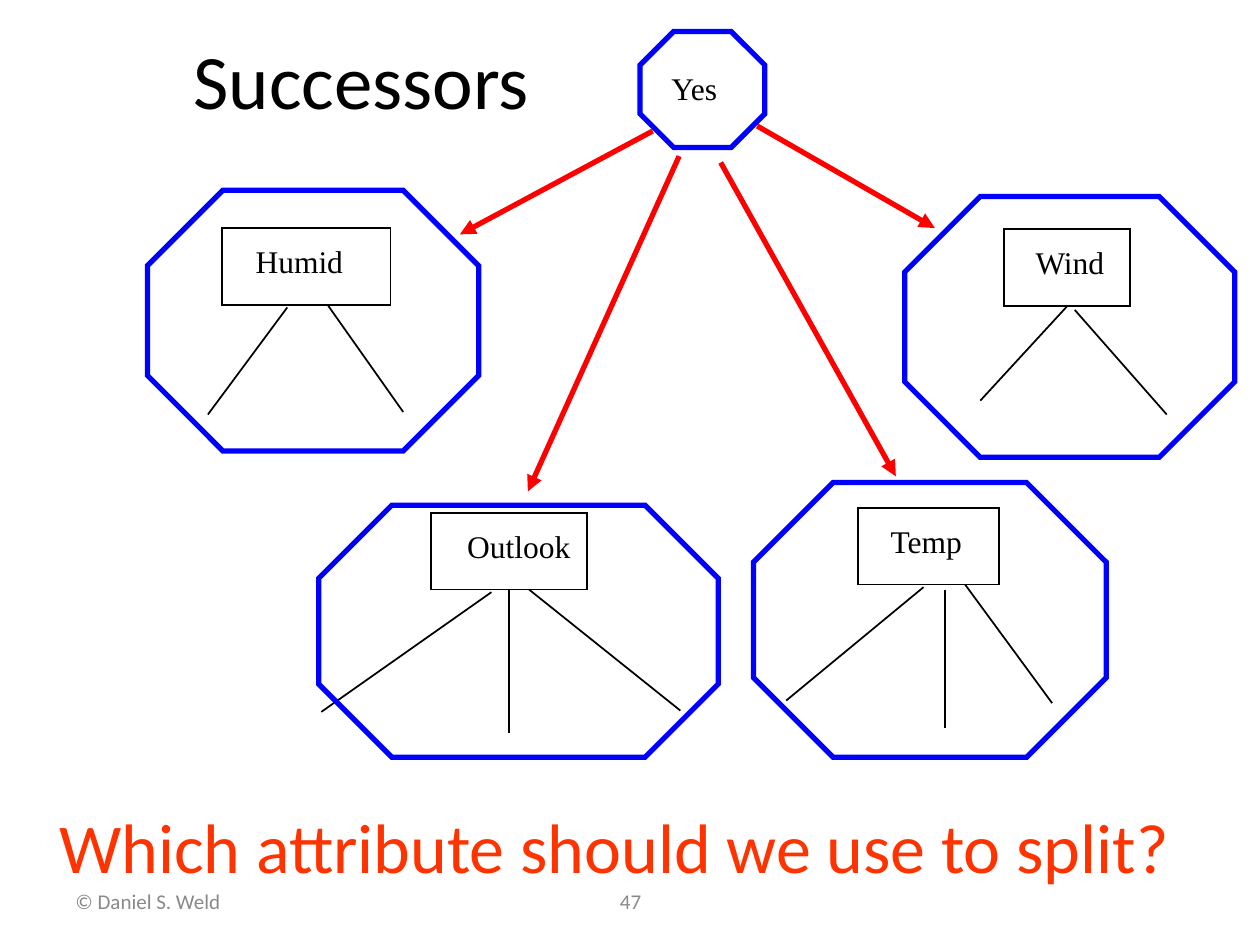
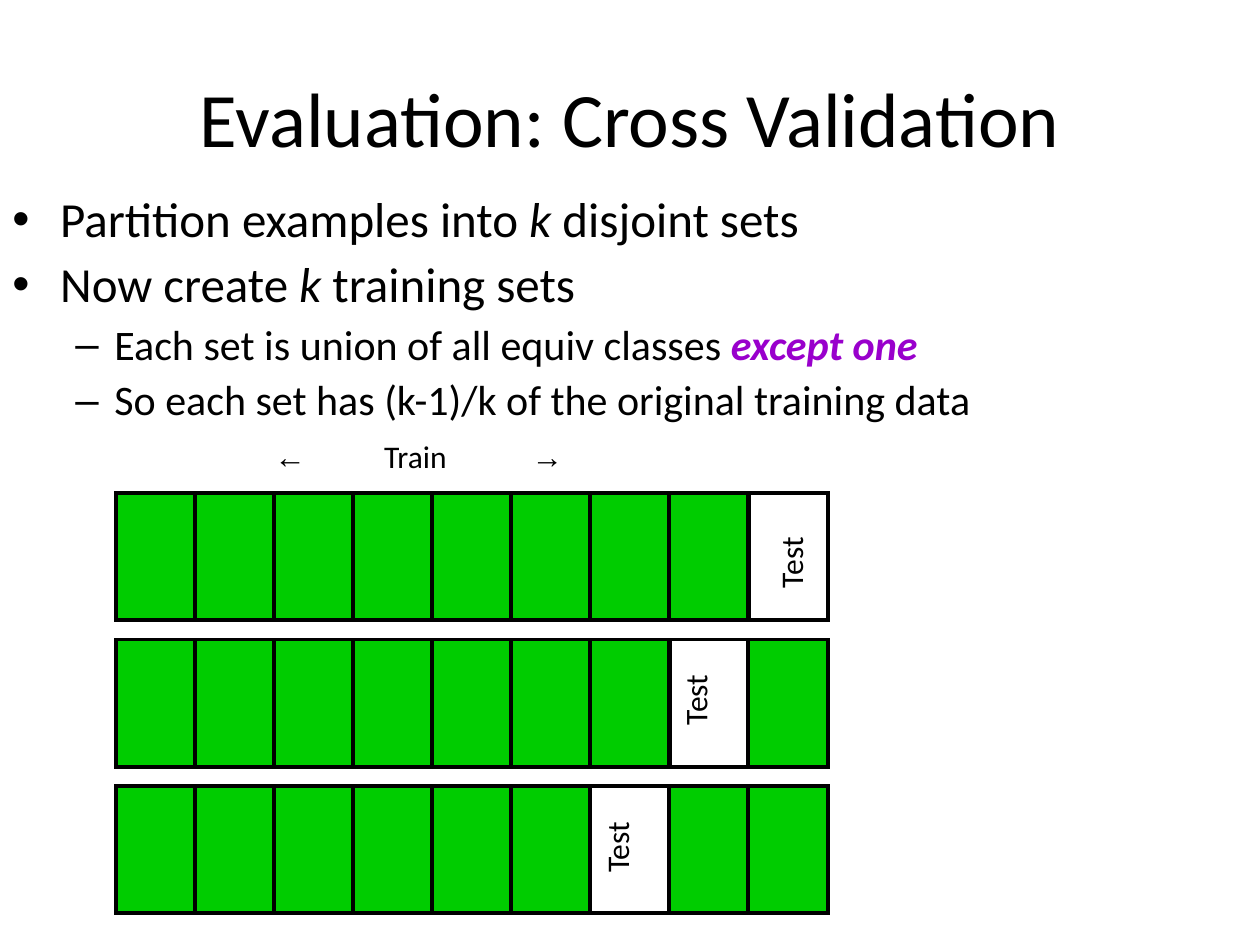
import pptx
import pptx.util
import pptx.dml.color
import pptx.enum.shapes
import pptx.enum.text
import pptx.oxml.ns
import lxml.etree

Inches = pptx.util.Inches
Pt = pptx.util.Pt
RGBColor = pptx.dml.color.RGBColor
KIND = pptx.enum.shapes.MSO_SHAPE
ALIGN = pptx.enum.text.PP_ALIGN
ANCHOR = pptx.enum.text.MSO_ANCHOR
FIT = pptx.enum.text.MSO_AUTO_SIZE
qn = pptx.oxml.ns.qn

BLACK = RGBColor(0, 0, 0)
BLUE = RGBColor(0, 0, 255)
RED = RGBColor(255, 0, 0)
ORANGE = RGBColor(255, 51, 0)
GREEN = RGBColor(0, 204, 0)
PURPLE = RGBColor(153, 0, 204)
GREY = RGBColor(137, 137, 137)
SANS, SERIF, SIGN = "Calibri", "Times New Roman", "Arial"

FOOTERS = [
    ("© Daniel S. Weld", (0.5, 6.95, 2.33, 0.4), ALIGN.LEFT),
    ("47", (3.42, 6.95, 3.17, 0.4), ALIGN.CENTER),
]

ROOT = {"name": "Yes", "ring": (5.08, 0.25, 0.99, 0.92), "label": (5.23, 0.5, 0.59)}
ARROWS = [
    (5.18, 1.04, 3.65, 1.86),
    (6.01, 1, 7.42, 1.81),
    (5.72, 1.29, 7.11, 3.78),
    (5.39, 1.24, 4.19, 3.9),
]
NODES = [
    {"name": "Outlook", "ring": (2.53, 4.01, 3.17, 2), "box": (3.42, 4.07, 1.24),
     "label": (3.61, 4.13, 1.02),
     "twigs": [(3.9, 4.7, 2.55, 5.65), (4.2, 4.68, 5.4, 5.64), (4.04, 4.68, 4.04, 5.82)]},
    {"name": "Temp", "ring": (5.98, 3.83, 2.8, 2.18), "box": (6.81, 4.03, 1.12),
     "label": (6.97, 4.09, 0.78),
     "twigs": [(7.33, 4.66, 6.24, 5.56), (7.66, 4.64, 8.35, 5.58), (7.5, 4.68, 7.5, 5.78)]},
    {"name": "Humid", "ring": (1.17, 1.51, 2.63, 2.07), "box": (1.76, 1.81, 1.34),
     "label": (1.93, 1.87, 0.92),
     "twigs": [(2.28, 2.44, 1.65, 3.29), (2.6, 2.42, 3.2, 3.27)]},
    {"name": "Wind", "ring": (7.18, 1.56, 2.62, 2.07), "box": (7.97, 1.82, 1),
     "label": (8.12, 1.88, 0.75),
     "twigs": [(8.49, 2.45, 7.78, 3.18), (8.53, 2.46, 9.26, 3.29)]},
]

LEVELS = [
    {"mark": "•", "size": 28, "left": 0.38, "hang": 0.38, "gap": 7},
    {"mark": "–", "size": 24, "left": 0.81, "hang": 0.31, "gap": 6},
]
POINTS = [
    (0, [("Partition examples into ", ""), ("k", "i"), (" disjoint sets", "")]),
    (0, [("Now create ", ""), ("k ", "i"), ("training sets", "")]),
    (1, [("Each set is union of all equiv classes ", ""), ("except one", "key")]),
    (1, [("So each set has (k-1)/k of the original training data", "")]),
]

TRAIN = [("←", SIGN), ("\tTrain", SANS), ("\t→", SIGN)]
TRAIN_TABS = (0.87, 2.04)
FOLDS = 9
CELL_W, CELL_H = 0.63, 1.01
LEFT, TOP = 0.92, 3.91
TESTS = [(8, 5.96, 4.25), (7, 5.2, 5.34), (6, 4.58, 6.51)]
STEP_X = (5.94 - LEFT) / (FOLDS - 1)
STEP_Y = (6.24 - TOP) / (len(TESTS) - 1)


def style(run, font, size, color=BLACK):
    run.font.name = font
    run.font.size = Pt(size)
    run.font.color.rgb = color


def text(slide, words, at, font, size, color=BLACK, align=ALIGN.LEFT, wrap=True):
    box = slide.shapes.add_textbox(*map(Inches, at))
    frame = box.text_frame
    frame.text = words
    frame.word_wrap = wrap
    frame.vertical_anchor = ANCHOR.MIDDLE if wrap else ANCHOR.TOP
    if not wrap:
        frame.auto_size = FIT.SHAPE_TO_FIT_TEXT
    para = frame.paragraphs[0]
    para.alignment = align
    for run in para.runs:
        style(run, font, size, color)
    return box


def title(slide, words, at):
    text(slide, words, at, SANS, 44, align=ALIGN.CENTER)


def shape(slide, kind, at, color, width, fill=None):
    item = slide.shapes.add_shape(kind, *map(Inches, at))
    item.shadow.inherit = False
    if fill is None:
        item.fill.background()
    else:
        item.fill.solid()
        item.fill.fore_color.rgb = fill
    item.line.color.rgb = color
    item.line.width = Pt(width)
    lxml.etree.SubElement(item.line._get_or_add_ln(), qn("a:miter"), lim="800000")
    return item


def line(slide, ends, color, width, arrow=False):
    link = slide.shapes.add_connector(
        pptx.enum.shapes.MSO_CONNECTOR.STRAIGHT, *map(Inches, ends))
    link.line.color.rgb = color
    link.line.width = Pt(width)
    if arrow:
        lxml.etree.SubElement(link.line._get_or_add_ln(), qn("a:tailEnd"), type="triangle")
    lxml.etree.SubElement(link._element.spPr, qn("a:effectLst"))
    return link


def ring(slide, node):
    item = shape(slide, KIND.OCTAGON, node["ring"], BLUE, 3)
    item.adjustments[0] = 0.29


def label(slide, node):
    text(slide, node["name"], (*node["label"], 0.4), SERIF, 18, wrap=False)


def branch(slide, node):
    left, top, width = node["box"]
    box = shape(slide, KIND.RECTANGLE, (left, top, width, 0.61), BLACK, 1)
    label(slide, node)
    for ends in node["twigs"]:
        twig = line(slide, ends, BLACK, 1)
        if abs(ends[0] - left - width / 2) < 0.03:
            twig.begin_connect(box, 2)
    ring(slide, node)


def split(slide):
    for words, at, align in FOOTERS:
        text(slide, words, at, SANS, 12, GREY, align)
    title(slide, "Successors", (0.83, 0, 4.08, 1.25))
    label(slide, ROOT)
    ring(slide, ROOT)
    for ends in ARROWS:
        line(slide, ends, RED, 3, arrow=True)
    for node in NODES:
        branch(slide, node)
    text(slide, "Which attribute should we use to split?", (0, 6.25, 9.75, 0.92),
         SANS, 40, ORANGE, ALIGN.CENTER)


def points(slide):
    frame = slide.shapes.add_textbox(*map(Inches, (0, 1.5, 10.17, 4.49))).text_frame
    frame.word_wrap = True
    for num, (depth, parts) in enumerate(POINTS):
        level = LEVELS[depth]
        para = frame.add_paragraph() if num else frame.paragraphs[0]
        para.level = depth
        props = para._p.get_or_add_pPr()
        props.set("marL", str(Inches(level["left"])))
        props.set("indent", str(-Inches(level["hang"])))
        lxml.etree.SubElement(props, qn("a:buFont"), typeface=SIGN)
        lxml.etree.SubElement(props, qn("a:buChar"), char=level["mark"])
        para.line_spacing = 0.9
        if num:
            para.space_before = Pt(level["gap"])
        for words, look in parts:
            run = para.add_run()
            run.text = words
            style(run, SANS, level["size"], PURPLE if look == "key" else BLACK)
            run.font.bold = look == "key"
            run.font.italic = look != ""


def train(slide):
    box = text(slide, "", (2.08, 3.42, 2.51, 0.4), SANS, 18, wrap=False)
    para = box.text_frame.paragraphs[0]
    tabs = lxml.etree.SubElement(para._p.get_or_add_pPr(), qn("a:tabLst"))
    for pos in TRAIN_TABS:
        lxml.etree.SubElement(tabs, qn("a:tab"), pos=str(Inches(pos)), algn="l")
    for words, font in TRAIN:
        run = para.add_run()
        run.text = words
        style(run, font, 18)


def folds(slide):
    for row, (test, x, y) in enumerate(TESTS):
        for col in range(FOLDS):
            at = (LEFT + col * STEP_X, TOP + row * STEP_Y, CELL_W, CELL_H)
            shape(slide, KIND.RECTANGLE, at, BLACK, 2.25, None if col == test else GREEN)
        tag = text(slide, "Test", (x, y, 0.63, 0.4), SANS, 18, wrap=False)
        tag.rotation = 270


def check(slide):
    title(slide, "Evaluation: Cross Validation", (0.5, 0.3, 9, 1.25))
    points(slide)
    train(slide)
    folds(slide)


def main():
    deck = pptx.Presentation()
    deck.slide_width = Inches(10)
    deck.slide_height = Inches(7.5)
    for build in (split, check):
        build(deck.slides.add_slide(deck.slide_layouts[6]))
    deck.save("out.pptx")


if __name__ == "__main__":
    main()
